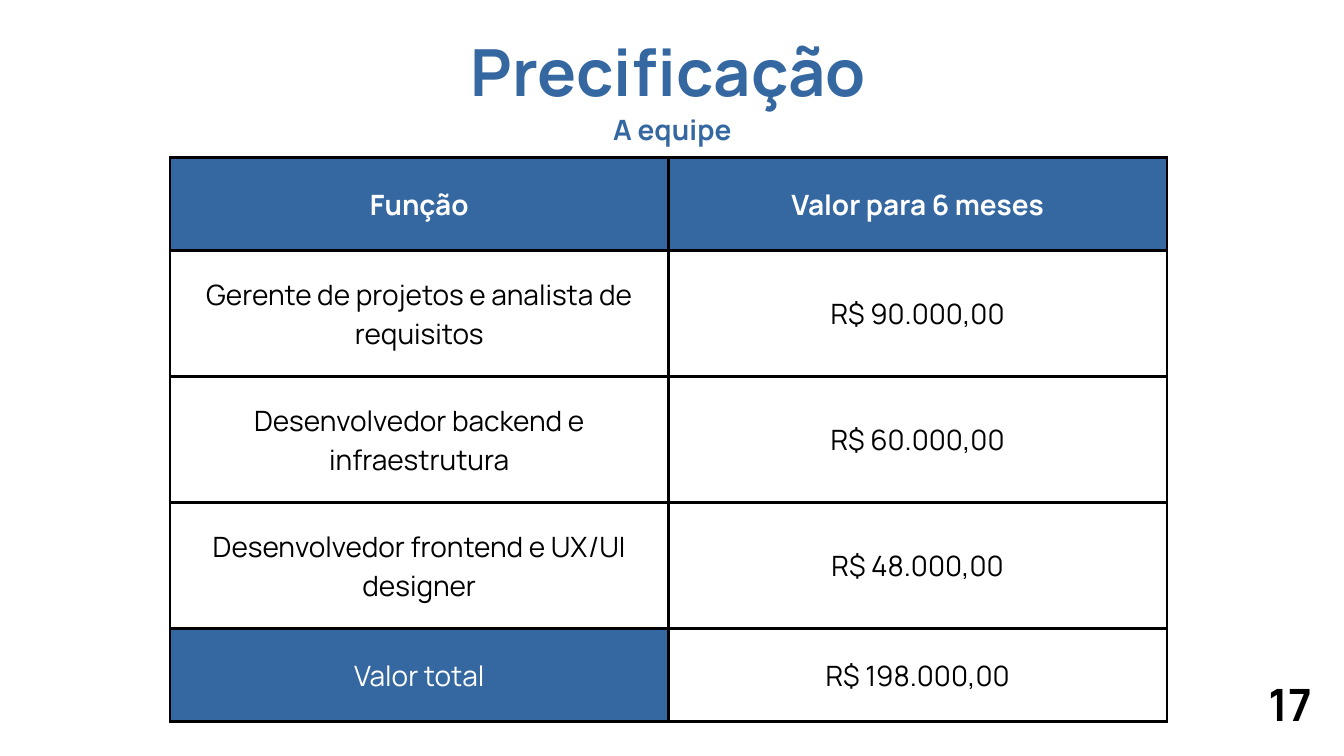
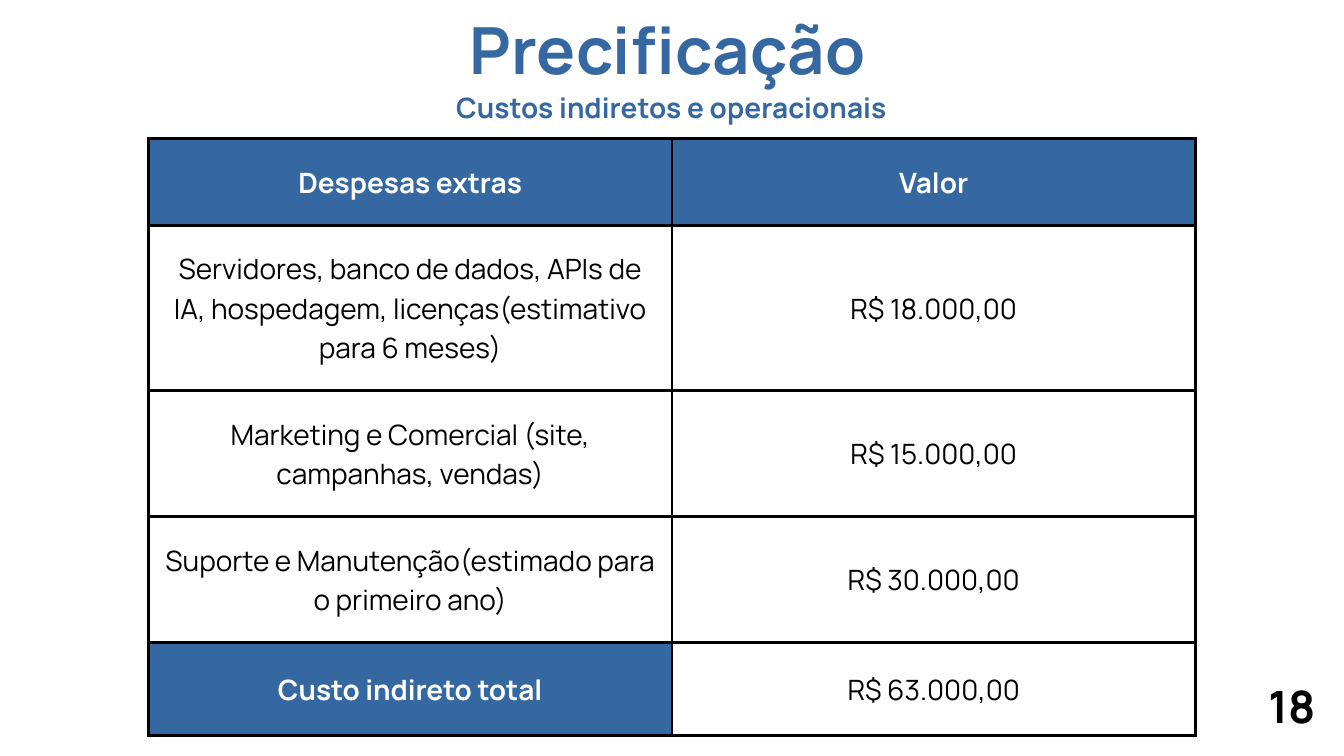
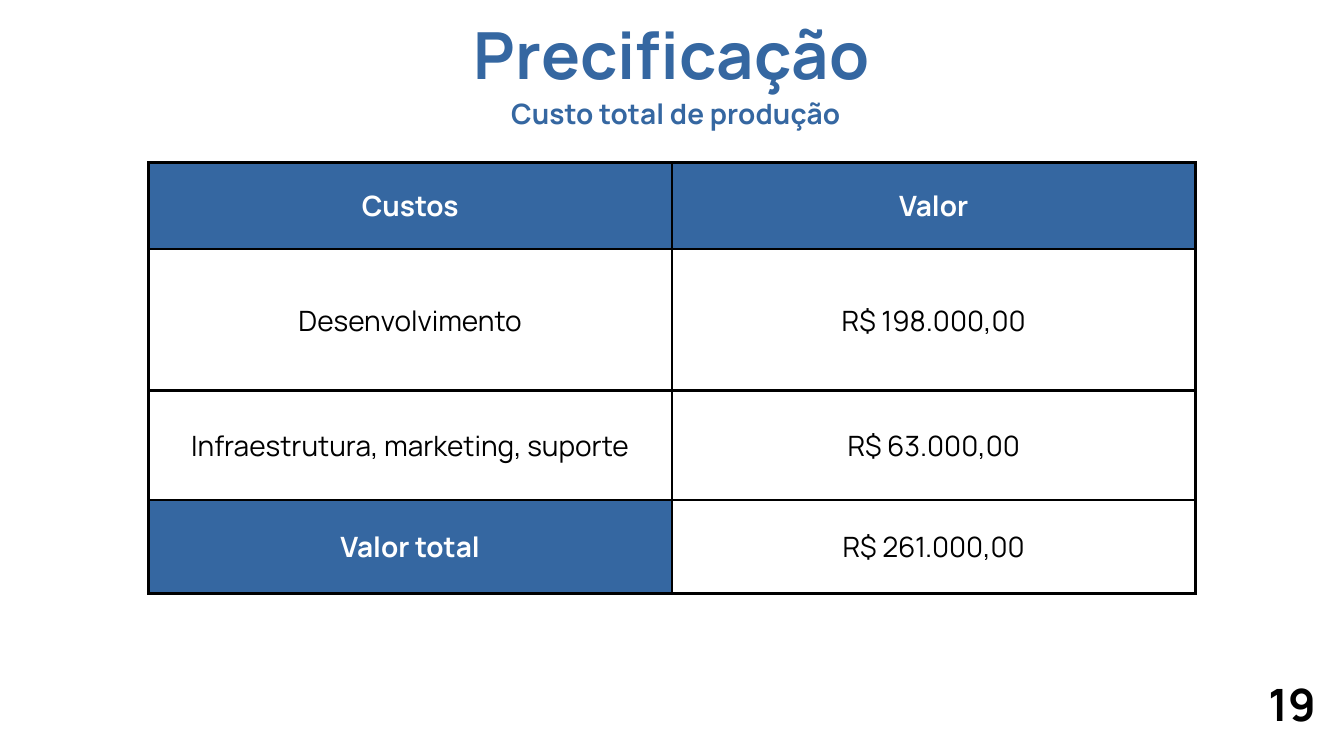
import pptx
import pptx.util
import pptx.dml.color
import pptx.enum.text
import pptx.oxml
import pptx.oxml.ns

PX = 9525
FONT = "Manrope"
BLUE = pptx.dml.color.RGBColor(0x35, 0x67, 0xA1)
WHITE = pptx.dml.color.RGBColor(0xFF, 0xFF, 0xFF)
BLACK = pptx.dml.color.RGBColor(0x00, 0x00, 0x00)
CENTER = pptx.enum.text.PP_ALIGN.CENTER
LEFT = pptx.enum.text.PP_ALIGN.LEFT
CELL_MARGIN = 20 * PX
BORDER_WIDTH = pptx.util.Pt(3)

SLIDES = [
    {
        "number": "17", "number_top": 968,
        "title_at": (547, 47),
        "subtitle": "A equipe", "subtitle_width": 189,
        "table_at": (243, 225), "col_width": 712,
        "row_heights": [133, 180, 180, 180, 133],
        "total_bold": False,
        "rows": [
            ("Função", "Valor para 6 meses"),
            ("Gerente de projetos e analista de requisitos", "R$ 90.000,00"),
            ("Desenvolvedor backend e infraestrutura", "R$ 60.000,00"),
            ("Desenvolvedor frontend e UX/UI designer", "R$ 48.000,00"),
            ("Valor total", "R$ 198.000,00"),
        ],
    },
    {
        "number": "18", "number_top": 971,
        "title_at": (546, 15),
        "subtitle": "Custos indiretos e operacionais", "subtitle_width": 805,
        "table_at": (212, 198), "col_width": 748,
        "row_heights": [124, 236, 180, 180, 133],
        "total_bold": True,
        "rows": [
            ("Despesas extras", "Valor"),
            ("Servidores, banco de dados, APIs de IA, hospedagem, "
             "licenças(estimativo para 6 meses)", "R$ 18.000,00"),
            ("Marketing e Comercial (site, campanhas, vendas)", "R$ 15.000,00"),
            ("Suporte e Manutenção(estimado para o primeiro ano)", "R$ 30.000,00"),
            ("Custo indireto total", "R$ 63.000,00"),
        ],
    },
    {
        "number": "19", "number_top": 968,
        "title_at": (552, 23),
        "subtitle": "Custo total de produção", "subtitle_width": 805,
        "table_at": (212, 232), "col_width": 748,
        "row_heights": [124, 202, 156, 134],
        "total_bold": True,
        "rows": [
            ("Custos", "Valor"),
            ("Desenvolvimento", "R$ 198.000,00"),
            ("Infraestrutura, marketing, suporte", "R$ 63.000,00"),
            ("Valor total", "R$ 261.000,00"),
        ],
    },
]


def set_text(tf, text, size, color, bold, align, line, spacing=0):
    tf.text = text
    tf.word_wrap = True
    p = tf.paragraphs[0]
    p.alignment = align
    p.line_spacing = pptx.util.Pt(line)
    r = p.runs[0]
    r.font.name = FONT
    r.font.size = pptx.util.Pt(size)
    r.font.bold = bold
    r.font.color.rgb = color
    if spacing:
        r.font._element.set("spc", str(spacing))


def add_label(s, box, *style):
    sp = s.shapes.add_textbox(*(n * PX for n in box))
    tf = sp.text_frame
    tf.margin_left = tf.margin_top = tf.margin_right = tf.margin_bottom = 0
    set_text(tf, *style)
    tf.auto_size = pptx.enum.text.MSO_AUTO_SIZE.SHAPE_TO_FIT_TEXT


prs = pptx.Presentation()
prs.slide_width = 1920 * PX
prs.slide_height = 1080 * PX

for page in SLIDES:
    s = prs.slides.add_slide(prs.slide_layouts[6])
    s.background.fill.solid()
    s.background.fill.fore_color.rgb = WHITE

    rows, heights = page["rows"], page["row_heights"]
    left, top = page["table_at"]
    size = (2 * page["col_width"], sum(heights))
    frame = s.shapes.add_table(len(rows), 2, *(n * PX for n in (left, top, *size)))
    table = frame.table
    table.first_row = False
    table.horz_banding = False
    for col in table.columns:
        col.width = page["col_width"] * PX

    for i, (texts, height) in enumerate(zip(rows, heights)):
        table.rows[i].height = height * PX
        header, total = i == 0, i == len(rows) - 1
        for j, text in enumerate(texts):
            cell = table.cell(i, j)
            filled = header or (total and j == 0)
            bold = header or (filled and page["total_bold"])
            set_text(cell.text_frame, text, 30, WHITE if filled else BLACK, bold, CENTER, 42)
            cell.vertical_anchor = pptx.enum.text.MSO_ANCHOR.MIDDLE
            cell.margin_left = cell.margin_right = CELL_MARGIN
            cell.margin_top = cell.margin_bottom = CELL_MARGIN
            if filled:
                cell.fill.solid()
                cell.fill.fore_color.rgb = BLUE
            else:
                cell.fill.background()
            tc_pr = cell._tc.get_or_add_tcPr()
            for k, side in enumerate(("lnL", "lnR", "lnT", "lnB")):
                tc_pr.insert(k, pptx.oxml.parse_xml(
                    f'<a:{side} {pptx.oxml.ns.nsdecls("a")} w="{BORDER_WIDTH}">'
                    f'<a:solidFill><a:srgbClr val="{BLACK}"/></a:solidFill></a:{side}>'))

    left, top = page["title_at"]
    add_label(s, (left, top, 816, 116), "Precificação", 69.6, BLUE, True, CENTER, 82.1, 30)
    width = page["subtitle_width"]
    add_label(s, (left + 413 - width // 2, top + 115, width, 50),
              page["subtitle"], 30, BLUE, True, CENTER, 35.4, 10)
    add_label(s, (1812, page["number_top"], 87, 81),
              page["number"], 47.7, BLACK, True, LEFT, 56.2, 20)

prs.save("out.pptx")
